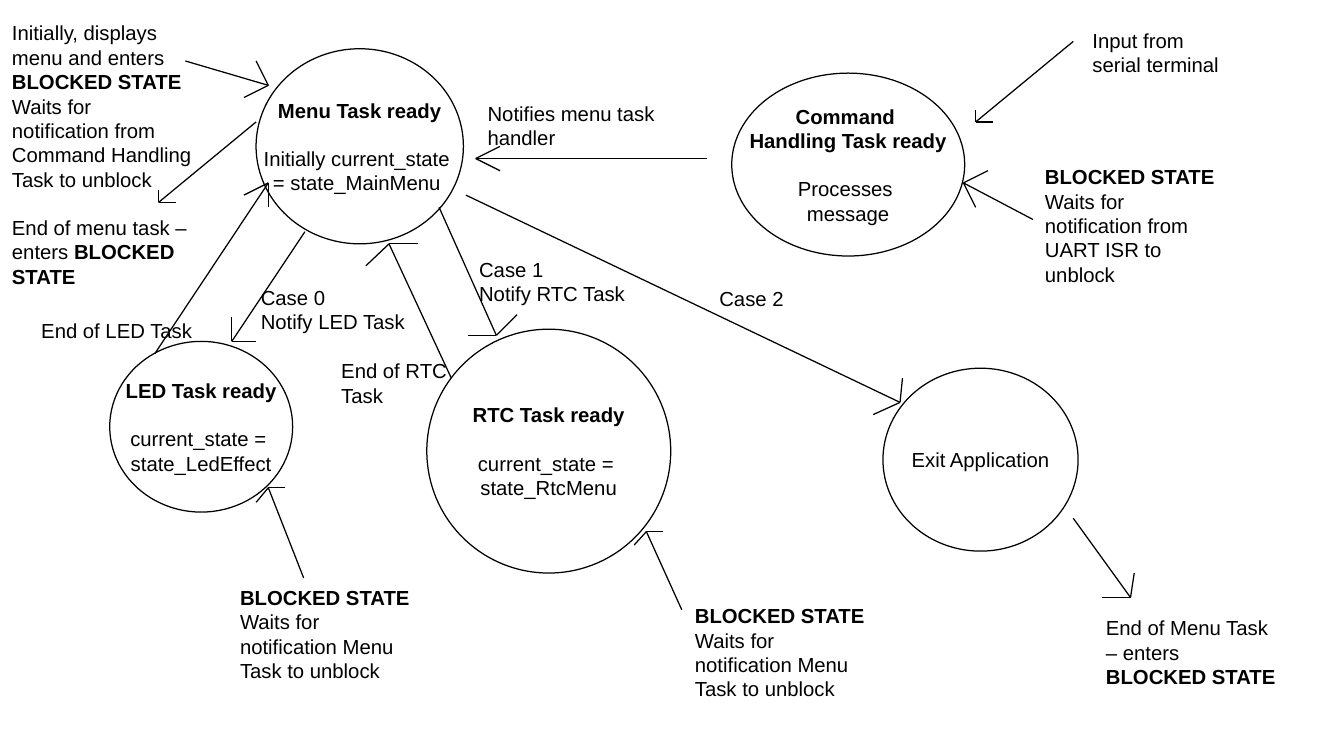
from dataclasses import dataclass

from lxml.etree import SubElement
from pptx import Presentation
from pptx.dml.color import RGBColor
from pptx.enum.shapes import MSO_CONNECTOR as Connector, MSO_SHAPE as Shape
from pptx.enum.text import MSO_ANCHOR as Anchor, PP_ALIGN as Align
from pptx.oxml.ns import qn
from pptx.util import Inches, Pt

CELL = Inches(0.1)
COLUMNS, ROWS = 110.2, 62
BLACK = "000000"
FONT = "Arial"
FONT_SIZE = 12
BLOCK_GAP = 14
LINE_WIDTH = 0.75

Point = tuple[float, float]


@dataclass(frozen=True)
class Label:
    column: float
    row: float
    columns: float
    rows: float
    blocks: tuple[str, ...]


@dataclass(frozen=True)
class State(Label):
    pass


@dataclass(frozen=True)
class Arrow:
    start: Point
    tip: Point
    barbs: tuple[Point, Point]


MENU_BLOCK = "*BLOCKED STATE*\nWaits for notification Menu Task to unblock"

STATES = [
    State(21, 4, 17, 16, ("*Menu Task ready*", "Initially current_state \n= state_MainMenu ")),
    State(60, 6, 19.1, 15, ("*Command *\n*Handling Task ready*", "Processes \nmessage")),
    State(9, 28, 15, 14, ("*LED Task ready*", "current_state = \nstate_LedEffect")),
    State(35, 27, 20, 20, ("*RTC Task ready*", "current_state = \nstate_RtcMenu")),
    State(72.4, 30.2, 16, 15, ("Exit Application",)),
]

LABELS = [
    Label(0, 1.2, 18, 21.5, (
        "Initially, displays menu and enters *BLOCKED STATE*\nWaits for\n"
        "notification from\nCommand Handling\nTask to unblock",
        "End of menu task – enters *BLOCKED STATE*",
    )),
    Label(88.6, 1.8, 12.4, 4.7, ("Input from\nserial terminal",)),
    Label(39, 7.8, 19, 4.7, ("Notifies menu task handler",)),
    Label(20.4, 22.9, 14.2, 4.7, ("Case 0\nNotify LED Task",)),
    Label(38.3, 20.6, 15.1, 5.4, ("Case 1\nNotify RTC Task",)),
    Label(58, 23, 9.1, 2.9, ("Case 2",)),
    Label(27, 28.9, 12, 4.7, ("End of RTC\nTask",)),
    Label(2.4, 25.6, 14.6, 4.4, ("End of LED Task",)),
    Label(84.7, 13, 16.3, 10.3, (
        "*BLOCKED STATE*\nWaits for notification from UART ISR to unblock",
    )),
    Label(56, 49, 16.3, 8.5, (MENU_BLOCK,)),
    Label(18.7, 47.5, 16.3, 8.5, (MENU_BLOCK,)),
    Label(89.7, 50, 16.3, 8.5, ("End of Menu Task – enters* BLOCKED STATE*",)),
]

ARROWS = [
    Arrow((88, 3.4), (80, 10), ((80, 9), (81.4, 10))),
    Arrow((58, 13), (39, 13), ((41, 12), (41, 14))),
    Arrow((25, 19), (19, 28), ((19, 26), (21, 28))),
    Arrow((36, 17), (40.7, 27.5), ((42.4, 25.8), (38.4, 27.5))),
    Arrow((38.2, 16), (73.8, 33), ((71.6, 34), (74, 31))),
    Arrow((12.7, 29), (22, 15), ((22, 17), (20, 16))),
    Arrow((37, 31), (31.9, 20), ((30, 21.8), (34.3, 20))),
    Arrow((24.9, 47.4), (22, 40), ((21, 41.2), (23.4, 40))),
    Arrow((55.9, 50), (53, 43.6), ((52, 44.7), (54.4, 43.6))),
    Arrow((84.7, 18), (79, 15), ((81, 14), (80, 17))),
    Arrow((15.2, 5), (22, 7), ((21, 5), (20, 8))),
    Arrow((88, 42.5), (92.7, 49), ((93, 47), (90.4, 49))),
    Arrow((21, 10), (13, 16.6), ((13, 15.6), (14.4, 16.6))),
]


def cells(*counts: float) -> list[int]:
    return [round(count * CELL) for count in counts]


def color(value: str) -> RGBColor:
    return RGBColor.from_string(value)


def write_text(shape, blocks: tuple[str, ...], *, align=Align.LEFT, anchor=Anchor.TOP,
               wrap: bool = True, size: float = FONT_SIZE, ink: str = BLACK) -> None:
    frame = shape.text_frame
    frame.word_wrap = wrap
    frame.vertical_anchor = anchor
    lines = [(line, block_index > 0 and line_index == 0)
             for block_index, block in enumerate(blocks)
             for line_index, line in enumerate(block.split("\n"))]
    for index, (line, opens_block) in enumerate(lines):
        paragraph = frame.add_paragraph() if index else frame.paragraphs[0]
        paragraph.alignment = align
        if opens_block:
            paragraph.space_before = Pt(BLOCK_GAP)
        for part_index, part in enumerate(line.split("*")):
            if part:
                run = paragraph.add_run()
                run.text = part
                run.font.name = FONT
                run.font.size = Pt(size)
                run.font.bold = part_index % 2 == 1
                run.font.color.rgb = color(ink)


def outline(line) -> None:
    line.color.rgb = color(BLACK)
    line.width = Pt(LINE_WIDTH)


def draw_state(slide, state: State) -> None:
    shape = slide.shapes.add_shape(
        Shape.OVAL, *cells(state.column, state.row, state.columns, state.rows))
    shape.shadow.inherit = False
    shape.fill.background()
    outline(shape.line)
    write_text(shape, state.blocks, align=Align.CENTER, anchor=Anchor.MIDDLE, wrap=False)


def draw_label(slide, label: Label) -> None:
    shape = slide.shapes.add_textbox(
        *cells(label.column, label.row, label.columns, label.rows))
    write_text(shape, label.blocks)


def draw_line(slide, start: Point, end: Point) -> None:
    connector = slide.shapes.add_connector(Connector.STRAIGHT, *cells(*start, *end))
    outline(connector.line)
    SubElement(connector._element.spPr, qn("a:effectLst"))


def draw_arrow(slide, arrow: Arrow) -> None:
    for start in (arrow.start, *arrow.barbs):
        draw_line(slide, start, arrow.tip)


def main() -> None:
    presentation = Presentation()
    presentation.slide_width, presentation.slide_height = cells(COLUMNS, ROWS)
    slide = presentation.slides.add_slide(presentation.slide_layouts[6])
    for state in STATES:
        draw_state(slide, state)
    for arrow in ARROWS:
        draw_arrow(slide, arrow)
    for label in LABELS:
        draw_label(slide, label)
    presentation.save("out.pptx")


if __name__ == "__main__":
    main()
